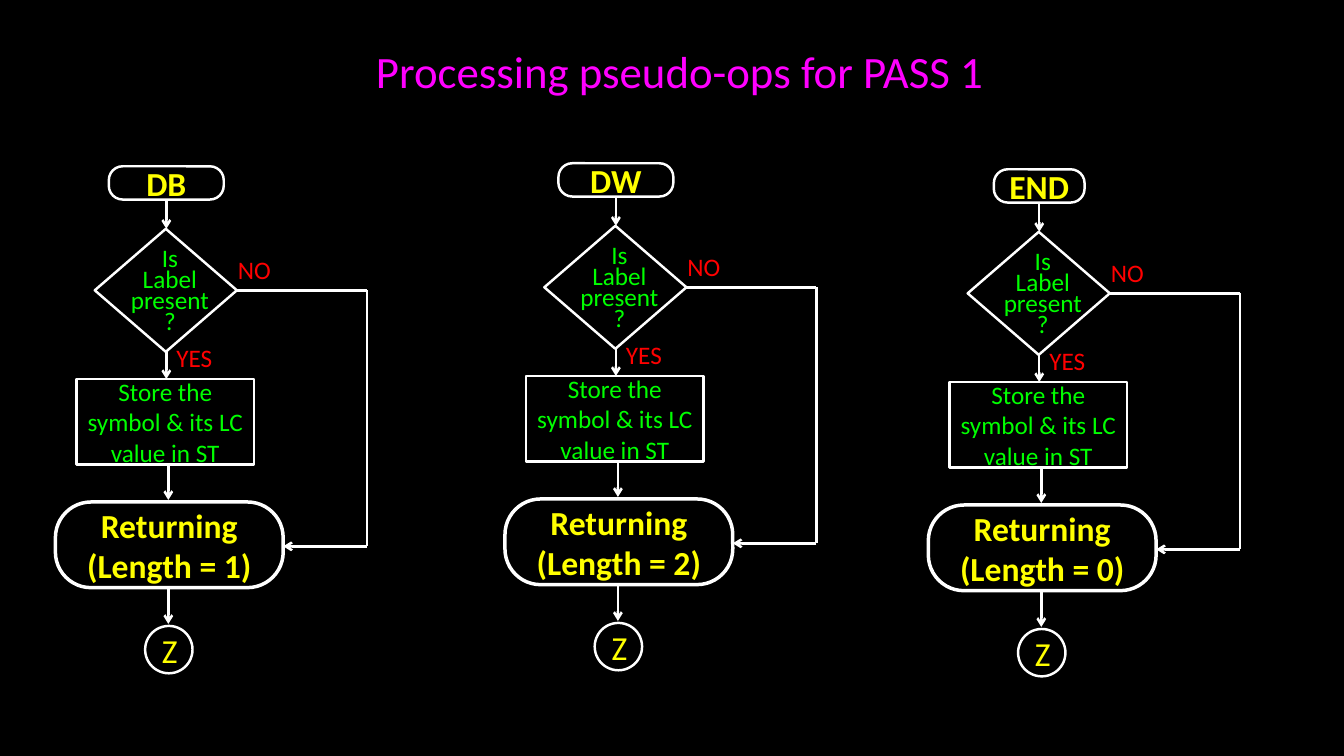
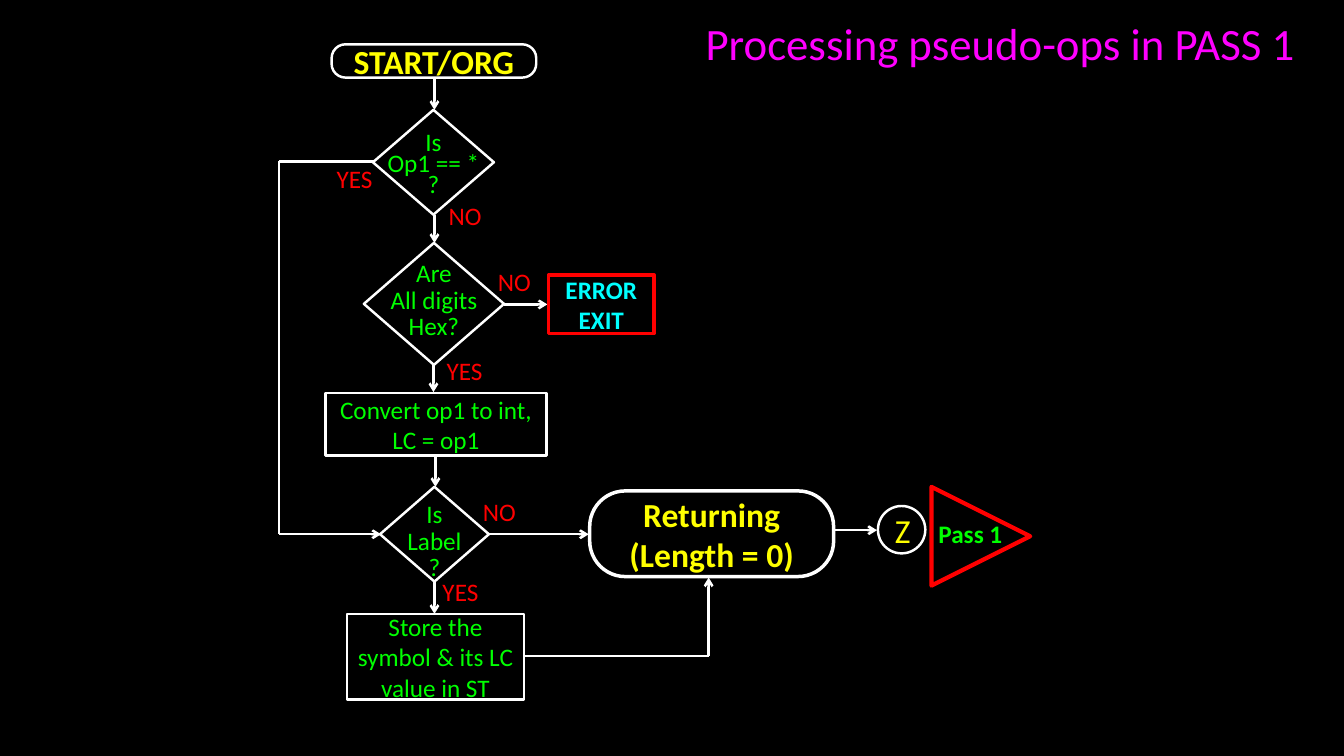
"""Build two slides of flowcharts for assembler pseudo-ops in pass 1."""
from dataclasses import dataclass
from itertools import pairwise
from typing import NamedTuple

from lxml import etree
from pptx import Presentation
from pptx.dml.color import RGBColor
from pptx.enum.shapes import MSO_CONNECTOR, MSO_SHAPE
from pptx.enum.text import MSO_ANCHOR, MSO_AUTO_SIZE, PP_ALIGN
from pptx.oxml.ns import qn
from pptx.presentation import Presentation as Deck
from pptx.slide import Slide
from pptx.text.text import TextFrame
from pptx.util import Emu, Inches, Pt

STRAIGHT = MSO_CONNECTOR.STRAIGHT
ROUNDED = MSO_SHAPE.ROUNDED_RECTANGLE
RECTANGLE = MSO_SHAPE.RECTANGLE
DIAMOND = MSO_SHAPE.DIAMOND
CIRCLE = MSO_SHAPE.FLOWCHART_CONNECTOR
TRIANGLE = MSO_SHAPE.FLOWCHART_EXTRACT
LEFT, CENTER = PP_ALIGN.LEFT, PP_ALIGN.CENTER
TOP, MIDDLE = MSO_ANCHOR.TOP, MSO_ANCHOR.MIDDLE

COLORS = {
    "background": "000000",
    "line": "FFFFFF",
    "title": "FF00FF",
    "terminal": "FFFF00",
    "step": "00FF00",
    "alert": "FF0000",
    "error": "00FFFF",
}
FONT = "Calibri"
CELL = Inches(0.1)
SLIDE_COLUMNS, SLIDE_ROWS = 133.33, 75
LINE_WIDTH = 1.75
CORNER = 0.416
TITLE_ONLY = 5


class Box(NamedTuple):
    left: float
    top: float
    width: float
    height: float


class Point(NamedTuple):
    column: float
    row: float


@dataclass(frozen=True)
class TextStyle:
    color: str
    size: float = 18
    bold: bool = False
    align: PP_ALIGN = CENTER
    spacing: float | None = None


@dataclass(frozen=True)
class NodeStyle:
    kind: MSO_SHAPE
    text: TextStyle
    line_color: str = "line"
    line_width: float = LINE_WIDTH
    rotation: float = 0


@dataclass(frozen=True)
class Node:
    style: NodeStyle
    box: Box
    text: str = ""


@dataclass(frozen=True)
class Caption:
    style: TextStyle
    box: Box
    text: str


@dataclass(frozen=True)
class Route:
    points: tuple[Point, ...]


Item = Node | Caption | Route

TITLE_TEXT = TextStyle("title", 32, align=LEFT)
BOLD_TEXT = TextStyle("terminal", 24, True)
STEP_TEXT = TextStyle("step")
TIGHT_TEXT = TextStyle("step", spacing=15)
LOOSE_TEXT = TextStyle("step", spacing=19)
ANSWER_TEXT = TextStyle("alert", align=LEFT)
PASS_TEXT = TextStyle("step", bold=True, align=LEFT)

ENTRY = NodeStyle(ROUNDED, BOLD_TEXT)
RETURN = NodeStyle(ROUNDED, BOLD_TEXT, line_width=2.5)
STEP = NodeStyle(RECTANGLE, STEP_TEXT)
ERROR = NodeStyle(RECTANGLE, TextStyle("error", bold=True), "alert", 2.5)
DECISION = NodeStyle(DIAMOND, STEP_TEXT)
EXIT = NodeStyle(CIRCLE, TextStyle("terminal", 24))
PASS_MARK = NodeStyle(TRIANGLE, STEP_TEXT, "alert", 3, 90)


def color(name: str) -> RGBColor:
    """Return a named colour of the deck."""
    return RGBColor.from_string(COLORS[name])


def cells(*values: float) -> list[Emu]:
    """Turn grid counts into lengths."""
    return [Emu(round(value * CELL)) for value in values]


def write(frame: TextFrame, text: str, style: TextStyle) -> None:
    """Fill a text frame and format its paragraphs."""
    frame.text = text
    for paragraph in frame.paragraphs:
        paragraph.alignment = style.align
        if style.spacing:
            paragraph.line_spacing = Pt(style.spacing)
        for run in paragraph.runs:
            run.font.name = FONT
            run.font.size = Pt(style.size)
            run.font.bold = style.bold
            run.font.color.rgb = color(style.color)


def clear_margins(frame: TextFrame) -> None:
    """Start the text exactly at the corner of its frame."""
    frame.margin_left = frame.margin_right = 0
    frame.margin_top = frame.margin_bottom = 0
    frame.vertical_anchor = TOP


def draw_node(slide: Slide, node: Node) -> None:
    """Draw an outlined flowchart shape with its text."""
    style = node.style
    shape = slide.shapes.add_shape(style.kind, *cells(*node.box))
    shape.shadow.inherit = False
    shape.rotation = style.rotation
    shape.fill.background()
    shape.line.color.rgb = color(style.line_color)
    shape.line.width = Pt(style.line_width)
    if style.kind == ROUNDED:
        shape.adjustments[0] = CORNER
    if node.text:
        shape.text_frame.word_wrap = True
        shape.text_frame.vertical_anchor = MIDDLE
        write(shape.text_frame, node.text, style.text)


def draw_caption(slide: Slide, caption: Caption) -> None:
    """Draw free-standing text."""
    frame = slide.shapes.add_textbox(*cells(*caption.box)).text_frame
    frame.word_wrap = True
    clear_margins(frame)
    write(frame, caption.text, caption.style)


def draw_route(slide: Slide, route: Route) -> None:
    """Join points with lines and put an arrowhead at the end."""
    for start, end in pairwise(route.points):
        connector = slide.shapes.add_connector(STRAIGHT, *cells(*start, *end))
        connector.line.color.rgb = color("line")
        connector.line.width = Pt(LINE_WIDTH)
        if end == route.points[-1]:
            outline = connector.line._get_or_add_ln()
            etree.SubElement(outline, qn("a:tailEnd"), type="arrow")
        etree.SubElement(connector._element.spPr, qn("a:effectLst"))


def draw(slide: Slide, items: list[Item], origin: Point = Point(0, 0)) -> None:
    """Draw flowchart items moved by an origin."""
    for item in items:
        if isinstance(item, Route):
            points = tuple(Point(point.column + origin.column, point.row + origin.row)
                           for point in item.points)
            draw_route(slide, Route(points))
            continue
        box = item.box._replace(left=item.box.left + origin.column,
                                top=item.box.top + origin.row)
        if isinstance(item, Node):
            draw_node(slide, Node(item.style, box, item.text))
        else:
            draw_caption(slide, Caption(item.style, box, item.text))


def answer(column: float, row: float, text: str) -> Caption:
    """Describe the answer beside a branch."""
    return Caption(ANSWER_TEXT, Box(column, row, 5.4, 3), text)


def decision(box: Box, text: str, style: TextStyle, text_top: float,
             shift: float = 0) -> list[Item]:
    """Describe a diamond and the question over it."""
    question = Box(box.left + shift, text_top, box.width, box.height)
    return [Node(DECISION, box), Caption(style, question, text)]


def down(column: float, start: float, end: float) -> Route:
    """Describe a vertical arrow."""
    return Route((Point(column, start), Point(column, end)))


def across(row: float, start: float, end: float) -> Route:
    """Describe a horizontal arrow."""
    return Route((Point(start, row), Point(end, row)))


def store_step(column: float, row: float) -> Node:
    """Describe the step that stores a label."""
    return Node(STEP, Box(column, row, 17.6, 8.5), "Store the symbol & its LC value in ST")


def return_node(column: float, row: float, width: float, length: int) -> Node:
    """Describe the return of an instruction length."""
    return Node(RETURN, Box(column, row, width, 8.5), f"Returning\n(Length = {length})")


def exit_node(column: float, row: float) -> Node:
    """Describe the exit circle."""
    return Node(EXIT, Box(column, row, 4.7, 4.7), "Z")


def label_chart(name: str, name_width: float, length: int) -> list[Item]:
    """Describe the chart of a pseudo-op with an optional label."""
    return [
        Node(ENTRY, Box(16.5 - name_width / 2, 16.5, name_width, 3.3), name),
        down(16.5, 19.9, 22.7),
        *decision(Box(9.4, 22.7, 14.1, 12.2), "Is\nLabel\npresent\n?", TIGHT_TEXT, 25, 0.4),
        answer(23.6, 25.2, "NO"),
        down(16.5, 34.8, 37.6),
        answer(17.5, 34, "YES"),
        store_step(7.6, 37.6),
        down(16.7, 46.1, 49.6),
        return_node(5.5, 49.8, 22.6, length),
        down(16.7, 58.3, 61.9),
        exit_node(14.4, 62.1),
        Route((Point(23.5, 28.8), Point(36.4, 28.8), Point(36.4, 54.2), Point(28.1, 54.2))),
    ]


def origin_chart() -> list[Item]:
    """Describe the chart of the START and ORG pseudo-ops."""
    return [
        Node(ENTRY, Box(32.9, 4.4, 20.3, 3.3), "START/ORG"),
        down(43.1, 7.8, 10.9),
        *decision(Box(37, 10.9, 12, 10.4), "Is\nOp1 == *\n?", TIGHT_TEXT, 13.5),
        answer(33.4, 16.2, "YES"),
        down(43.1, 21.3, 24.1),
        answer(44.5, 19.9, "NO"),
        *decision(Box(36.1, 24.1, 13.9, 12.1), "Are\nAll digits\nHex?", LOOSE_TEXT, 25.9),
        across(30.2, 50, 54.3),
        answer(49.4, 26.4, "NO"),
        Node(ERROR, Box(54.4, 27.3, 10.5, 5.8), "ERROR\nEXIT"),
        down(43, 36.2, 38.9),
        answer(44.3, 35.3, "YES"),
        Node(STEP, Box(32.3, 39, 21.9, 6.2), "Convert op1 to int, LC = op1"),
        down(43.2, 45.1, 48.3),
        *decision(Box(37.7, 48.3, 10.8, 9.4), "Is\nLabel\n?", LOOSE_TEXT, 49.8),
        across(53, 48.5, 58.4),
        answer(47.9, 49.2, "NO"),
        down(43.1, 57.7, 60.9),
        answer(43.9, 57.2, "YES"),
        store_step(34.4, 60.9),
        Route((Point(37.2, 16), Point(27.7, 16), Point(27.7, 53), Point(37.8, 53))),
        return_node(58.5, 48.7, 24.2, 0),
        Route((Point(52, 65.1), Point(70.3, 65.1), Point(70.3, 57.3))),
        across(52.6, 82.7, 87),
        exit_node(87.1, 50.2),
        Node(PASS_MARK, Box(92.4, 48.3, 9.8, 9.8)),
        Caption(PASS_TEXT, Box(93.1, 51.4, 7.3, 3), "Pass 1"),
    ]


def add_slide(presentation: Deck, title: str, box: Box) -> Slide:
    """Add a slide and place its title."""
    slide = presentation.slides.add_slide(presentation.slide_layouts[TITLE_ONLY])
    placeholder = slide.shapes.title
    placeholder.left, placeholder.top, placeholder.width, placeholder.height = cells(*box)
    frame = placeholder.text_frame
    frame.auto_size = MSO_AUTO_SIZE.NONE
    clear_margins(frame)
    write(frame, title, TITLE_TEXT)
    return slide


def main() -> None:
    """Build and save the deck."""
    presentation = Presentation()
    presentation.slide_width, presentation.slide_height = cells(SLIDE_COLUMNS, SLIDE_ROWS)
    background = presentation.slide_master.background.fill
    background.solid()
    background.fore_color.rgb = color("background")

    slide = add_slide(presentation, "Processing pseudo-ops for PASS 1", Box(37.3, 4.3, 62, 5.4))
    draw(slide, label_chart("DB", 11.4, 1))
    draw(slide, label_chart("DW", 11.4, 2), Point(44.6, -0.3))
    draw(slide, label_chart("END", 9, 0), Point(86.6, 0.3))

    slide = add_slide(presentation, "Processing pseudo-ops in PASS 1", Box(70, 1.6, 61.2, 5.4))
    draw(slide, origin_chart())
    presentation.save("out.pptx")


if __name__ == "__main__":
    main()
